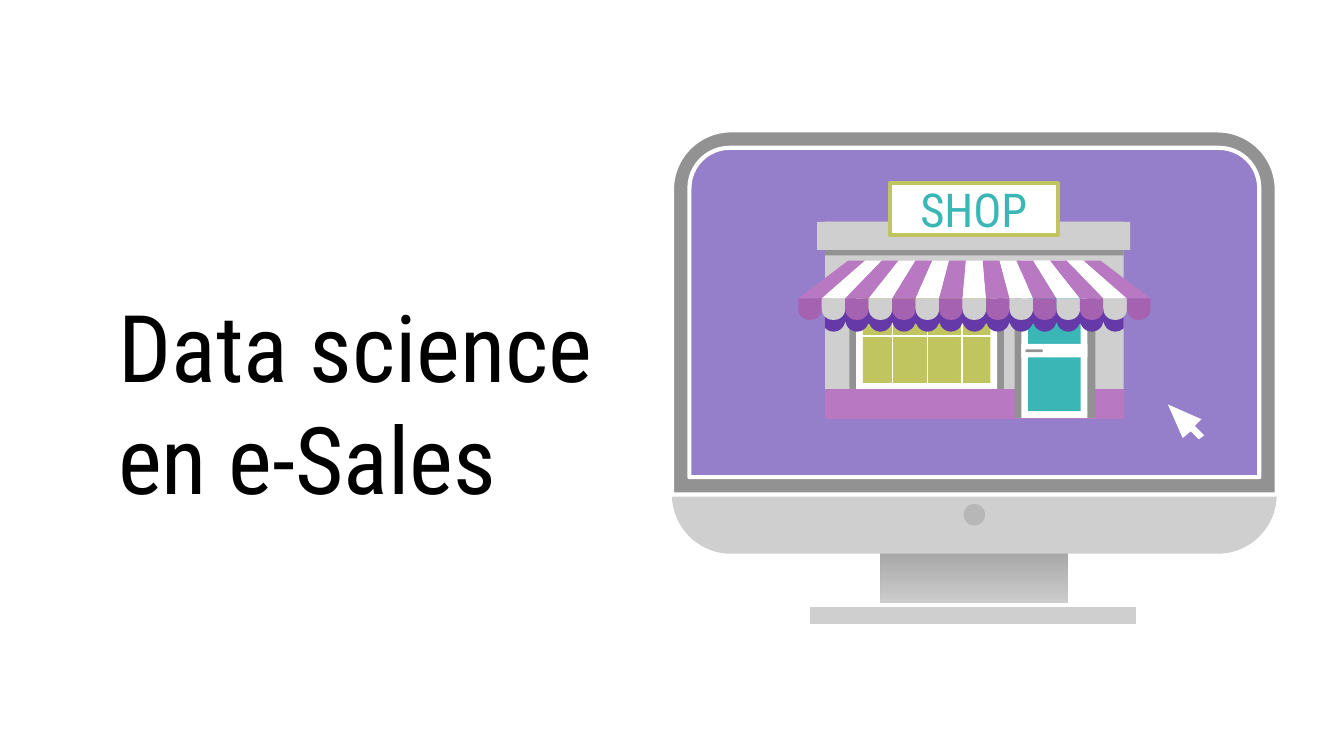
from collections import namedtuple
from math import sqrt

from lxml import etree
from pptx import Presentation
from pptx.dml.color import RGBColor
from pptx.enum.shapes import MSO_CONNECTOR, MSO_SHAPE
from pptx.enum.text import MSO_ANCHOR, MSO_AUTO_SIZE, PP_ALIGN
from pptx.oxml.ns import qn
from pptx.util import Inches, Pt

COLORS = {
    "black": "000000", "white": "FFFFFF", "silver": "CFCFCF", "gray": "929292",
    "button": "B7B7B7", "stand_dark": "919191", "stand_light": "DDDDDD",
    "screen": "957FCA", "mauve": "B878C2", "scallop": "A562B0",
    "shade": "6639A8", "olive": "C0C55F", "teal": "39B6B5",
}
FONT = "Roboto Condensed"
Box = namedtuple("Box", "left top width height")


def rgb(name):
    return RGBColor.from_string(COLORS[name])


def write(shape, text, size, color, align=PP_ALIGN.LEFT):
    frame = shape.text_frame
    frame.word_wrap = True
    frame.auto_size = MSO_AUTO_SIZE.NONE
    frame.vertical_anchor = MSO_ANCHOR.MIDDLE
    frame.margin_left = frame.margin_right = Inches(0.1)
    frame.margin_top = frame.margin_bottom = Inches(0.1)
    paragraph = frame.paragraphs[0]
    paragraph.alignment = align
    paragraph.line_spacing = 1.0
    for number, line in enumerate(text.split("\n")):
        if number:
            paragraph.add_line_break()
        run = paragraph.add_run()
        run.text = line
        run.font.name = FONT
        run.font.size = Pt(size)
        run.font.color.rgb = rgb(color)


def paint(shape, fill, line=None, weight=1):
    shape.shadow.inherit = False
    shape.fill.solid()
    shape.fill.fore_color.rgb = rgb(fill)
    if line:
        shape.line.color.rgb = rgb(line)
        shape.line.width = Pt(weight)
    else:
        shape.line.fill.background()


def block(slide, box, x, y, w, h, fill, line=None, weight=1,
          kind=MSO_SHAPE.RECTANGLE, corners=()):
    """Add a preset shape at an offset from the box's top left corner."""
    shape = slide.shapes.add_shape(kind, Inches(box.left + x), Inches(box.top + y),
                                   Inches(w), Inches(h))
    for index, corner in enumerate(corners):
        shape.adjustments[index] = corner
    paint(shape, fill, line, weight)
    return shape


def outline(slide, box, points, fill):
    """Add a closed polygon whose points are offsets from the box's corner."""
    start, *rest = [(Inches(box.left + x), Inches(box.top + y)) for x, y in points]
    builder = slide.shapes.build_freeform(*start)
    builder.add_line_segments(rest, close=True)
    paint(builder.convert_to_shape(), fill)


def bar(slide, box, x1, y1, x2, y2):
    """Add a white window bar."""
    line = slide.shapes.add_connector(
        MSO_CONNECTOR.STRAIGHT, Inches(box.left + x1), Inches(box.top + y1),
        Inches(box.left + x2), Inches(box.top + y2))
    line.line.color.rgb = rgb("white")
    line.line.width = Pt(0.85)
    etree.SubElement(line._element.spPr, qn("a:effectLst"))


def add_monitor(slide, box):
    stand = block(slide, box, 1.55, 2.94, 1.4, 0.73, "stand_dark")
    stand.fill.gradient()
    stand.fill.gradient_angle = 270
    for stop, color in zip(stand.fill.gradient_stops, ("stand_dark", "stand_light")):
        stop.color.rgb = rgb(color)
    block(slide, box, 1.01, 3.53, 2.46, 0.16, "silver", "white", 2.25)

    radius, frame_height, border = 0.44, 2.71, 0.13
    block(slide, box, 0, 0, box.width, 3.15, "silver",
          kind=MSO_SHAPE.ROUNDED_RECTANGLE, corners=[radius / 3.15])
    block(slide, box, 0, 0, box.width, frame_height, "gray", "white", 2.25,
          MSO_SHAPE.ROUND_2_SAME_RECTANGLE, [radius / frame_height, 0])
    screen_height = frame_height - 2 * border
    block(slide, box, border, border, box.width - 2 * border, screen_height,
          "screen", "white", 2.25, MSO_SHAPE.ROUND_2_SAME_RECTANGLE,
          [0.3 / screen_height, 0])
    block(slide, box, 2.17, 2.78, 0.16, 0.16, "button", kind=MSO_SHAPE.OVAL)


def add_window(slide, box):
    for inset, color in ((0, "gray"), (0.05, "white"), (0.1, "olive")):
        block(slide, box, inset, inset, box.width - 2 * inset,
              box.height - 2 * inset, color)
    bar(slide, box, 0.07, 0.44, 1.09, 0.44)
    for x in (0.32, 0.58, 0.84):
        bar(slide, box, x, 0.02, x, 0.82)


def add_door(slide, box):
    block(slide, box, 0, 0.02, box.width, 1.15, "gray")
    block(slide, box, 0.05, 0, 0.49, 1.17, "white")
    block(slide, box, 0.1, 0.05, 0.39, 1.07, "teal")
    block(slide, box, 0.05, 0.62, 0.49, 0.1, "white")
    block(slide, box, 0.08, 0.66, 0.13, 0.02, "gray",
          kind=MSO_SHAPE.ROUNDED_RECTANGLE, corners=[0.5])


def add_awning_shade(slide, box, pitch):
    """Add the scalloped shade cast on the wall, cut off at the wall's sides."""
    left, right, steps = 0.2, 2.42, 222
    edge = []
    for step in range(steps + 1):
        x = left + (right - left) * step / steps
        from_middle = x % pitch - pitch / 2
        edge.append((x, 0.44 + sqrt(max(0, (pitch / 2) ** 2 - from_middle ** 2))))
    outline(slide, box, [(left, 0.36), *edge, (right, 0.36)], "shade")


def add_awning(slide, box, count, pitch):
    roof_height, roof_inset = 0.28, 0.37
    top_pitch = (box.width - 2 * roof_inset) / count
    for i in range(count):
        top_left, bottom_left = roof_inset + i * top_pitch, i * pitch
        outline(slide, box,
                [(top_left, 0), (bottom_left, roof_height),
                 (bottom_left + pitch, roof_height), (top_left + top_pitch, 0)],
                "white" if i % 2 else "mauve")
    for i in range(count):
        block(slide, box, i * pitch, roof_height, pitch, 0.16,
              "silver" if i % 2 else "scallop",
              kind=MSO_SHAPE.ROUND_2_SAME_RECTANGLE, corners=[0, 0.5])


def add_sign(slide, box):
    block(slide, box, 0.02, 0.01, 1.25, 0.39, "white", "olive", 2)
    label = slide.shapes.add_textbox(Inches(box.left), Inches(box.top + 0.01),
                                     Inches(box.width), Inches(0.39))
    write(label, "SHOP", size=25, color="teal", align=PP_ALIGN.CENTER)


def add_shop(slide, box):
    wall_left, wall_width = 0.2, 2.22
    block(slide, box, wall_left, 0.3, wall_width, 1.46, "silver")
    add_window(slide, Box(box.left + 0.38, box.top + 0.71, 1.15, 0.89))
    block(slide, box, wall_left, 1.55, wall_width, 0.21, "mauve", "mauve", 0.75)
    add_door(slide, Box(box.left + 1.61, box.top + 0.59, 0.6, 1.17))

    count = 15
    pitch = box.width / count
    awning = Box(box.left, box.top + 0.59, box.width, 0.44)
    add_awning_shade(slide, awning, pitch)
    block(slide, box, wall_left, 0.37, wall_width, 0.18, "gray")
    block(slide, box, 0.14, 0.3, 2.33, 0.21, "silver")
    add_awning(slide, awning, count, pitch)
    add_sign(slide, Box(box.left + 0.66, box.top, 1.29, 0.42))


def add_pointer(slide, box):
    outline(slide, box, [(0, 0), (0.11, 0.25), (0.17, 0.2), (0.23, 0.26),
                         (0.27, 0.23), (0.2, 0.16), (0.25, 0.11)], "white")


def add_title(slide, box):
    title = slide.shapes.title
    title.left, title.top, title.width, title.height = map(Inches, box)
    write(title, "Data science\nen e-Sales", size=50, color="black")


def main():
    deck = Presentation()
    deck.slide_width = Inches(10)
    deck.slide_height = deck.slide_width * 9 // 16
    slide = deck.slides.add_slide(deck.slide_layouts[5])
    add_title(slide, Box(0.78, 2.16, 4.41, 1.65))
    add_monitor(slide, Box(5, 0.97, 4.5, 3.69))
    add_shop(slide, Box(5.94, 1.35, 2.62, 1.77))
    add_pointer(slide, Box(8.69, 3.01, 0.27, 0.27))
    deck.save("out.pptx")


if __name__ == "__main__":
    main()
